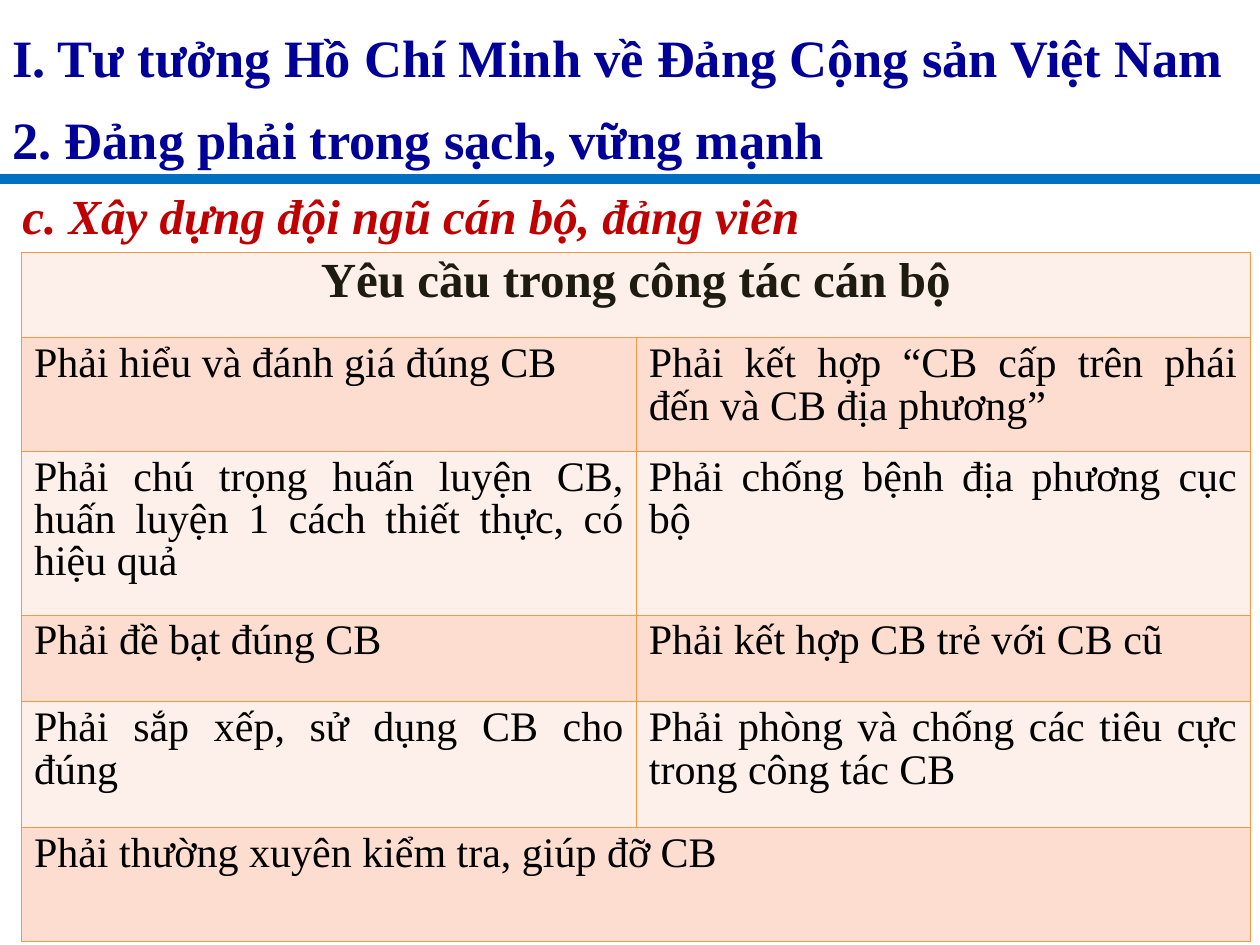
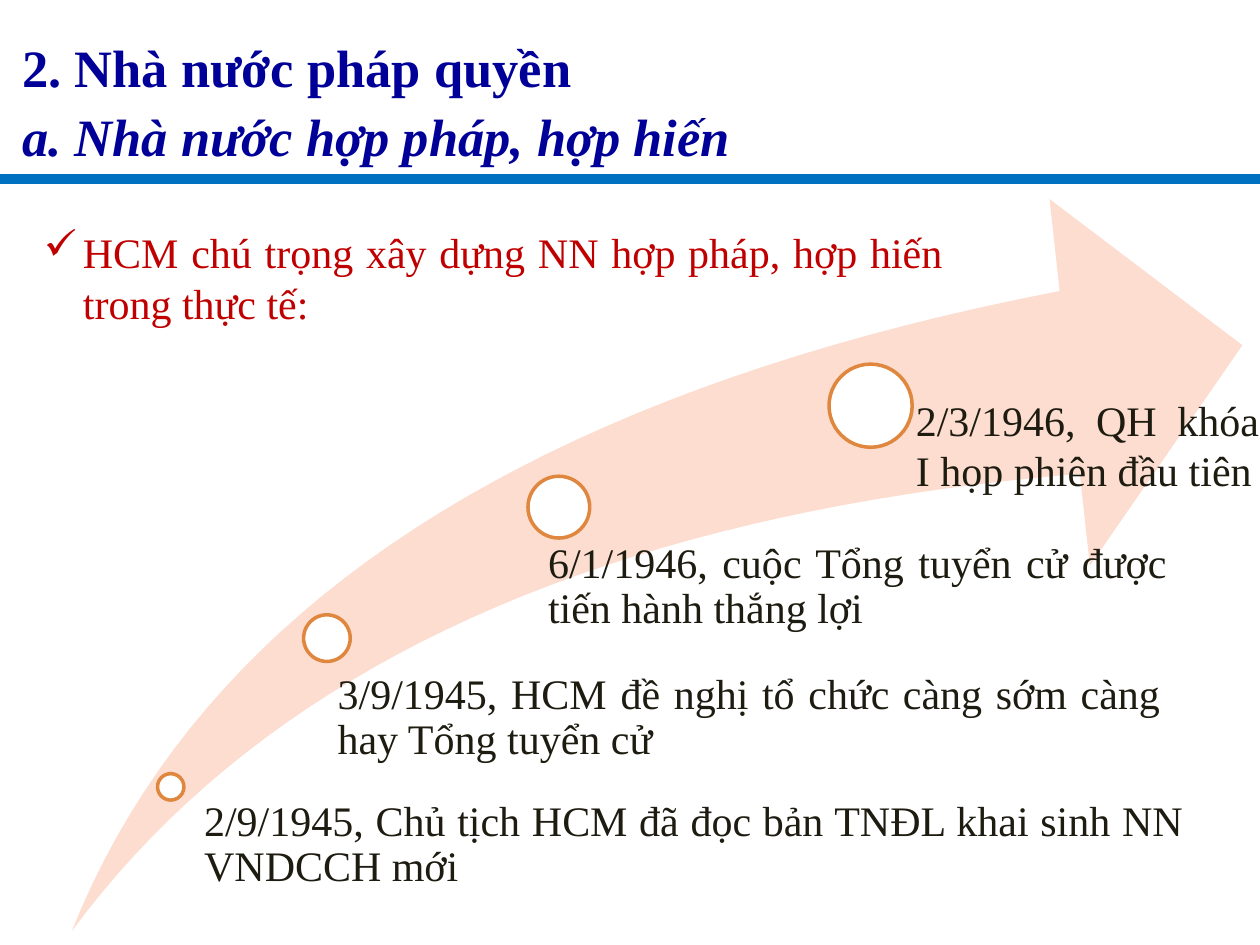
from lxml import etree
from pptx import Presentation
from pptx.dml.color import RGBColor
from pptx.enum.shapes import MSO_CONNECTOR, MSO_SHAPE
from pptx.enum.text import PP_ALIGN
from pptx.oxml.ns import qn
from pptx.util import Inches, Pt

NAVY = RGBColor(0x00, 0x00, 0x99)
BLUE = RGBColor(0x00, 0x70, 0xC0)
RED = RGBColor(0xC0, 0x00, 0x00)
INK = RGBColor(0x1E, 0x1C, 0x11)
BLACK = RGBColor(0x00, 0x00, 0x00)
WHITE = RGBColor(0xFF, 0xFF, 0xFF)
ORANGE = RGBColor(0xF7, 0x96, 0x46)
RING = RGBColor(0xE0, 0x87, 0x3F)
PEACH = RGBColor(0xFC, 0xDD, 0xCF)
PALE = RGBColor(0xFD, 0xEF, 0xE9)

FONT = "Times New Roman"
TITLE = dict(size=Pt(30), bold=True, color=NAVY)
SUBTITLE = dict(size=Pt(28), bold=True, italic=True, color=RED)
HEADER = dict(size=Pt(28), bold=True, color=INK)
CELL = dict(size=Pt(24), bold=False, color=BLACK)
LABEL = dict(size=Pt(24), color=INK)
POINT = dict(size=Pt(24), color=RED)
JUSTIFIED = dict(alignment=PP_ALIGN.JUSTIFY)
TABLE_SPACING = 0.91

REQUIREMENTS = [
    ("Yêu cầu trong công tác cán bộ",),
    ("Phải hiểu và đánh giá đúng CB",
     "Phải kết hợp “CB cấp trên phái đến và CB địa phương”"),
    ("Phải chú trọng huấn luyện CB, huấn luyện 1 cách thiết thực, có hiệu quả",
     "Phải chống bệnh địa phương cục bộ"),
    ("Phải đề bạt đúng CB", "Phải kết hợp CB trẻ với CB cũ"),
    ("Phải sắp xếp, sử dụng CB cho đúng",
     "Phải phòng và chống các tiêu cực trong công tác CB"),
    ("Phải thường xuyên kiểm tra, giúp đỡ CB",),
]
ROW_HEIGHTS = [0.68, 0.9, 1.3, 0.69, 1, 0.9]
COLUMN_WIDTHS = [4.88, 4.87]

# circle (left, top, diameter), label box, label left inset, text
MILESTONES = [
    ((1.25, 6.14, 0.21), (1.51, 6.35, 7.88, 0.95), 0.11,
     "2/9/1945, Chủ tịch HCM đã đọc bản TNĐL khai sinh NN VNDCCH mới"),
    ((2.41, 4.88, 0.37), (2.48, 5.34, 6.73, 1.18), 0.2,
     "3/9/1945, HCM đề nghị tổ chức càng sớm càng hay Tổng tuyển cử"),
    ((4.19, 3.78, 0.49), (4.09, 4.3, 5.17, 0.74), 0.26,
     "6/1/1946, cuộc Tổng tuyển cử được tiến hành thắng lợi"),
]
LAST_CIRCLE = (6.58, 2.89, 0.66)


def set_attributes(target, values):
    for name, value in values.items():
        setattr(target, name, value)


def write(p, text, style, layout):
    """Fill a paragraph with one run in the given font style and layout."""
    set_attributes(p, layout)
    r = p.add_run()
    r.text = text
    font = {k: v for k, v in style.items() if k != "color"}
    set_attributes(r.font, dict(font, name=FONT))
    r.font.color.rgb = style["color"]


def add_text(s, box, lines, layout, insets=(0.1, 0.05, 0.1, 0.05)):
    """Add a text box; lines holds (text, style) pairs."""
    tf = s.shapes.add_textbox(*map(Inches, box)).text_frame
    tf.word_wrap = True
    sides = ("margin_left", "margin_top", "margin_right", "margin_bottom")
    set_attributes(tf, dict(zip(sides, map(Inches, insets))))
    for i, (text, style) in enumerate(lines):
        p = tf.add_paragraph() if i else tf.paragraphs[0]
        write(p, text, style, layout)
    return tf


def add_check_bullet(p, indent):
    pPr = p._p.get_or_add_pPr()
    pPr.set("marL", str(Inches(indent)))
    pPr.set("indent", str(-Inches(indent)))
    color = etree.SubElement(pPr, qn("a:buClr"))
    etree.SubElement(color, qn("a:srgbClr"), val=str(RED))
    etree.SubElement(pPr, qn("a:buChar"), char="✓")


def add_ruled_slide(prs):
    """Add a blank slide with the blue rule under the title area."""
    s = prs.slides.add_slide(prs.slide_layouts[6])
    y = Inches(1.42)
    rule = s.shapes.add_connector(MSO_CONNECTOR.STRAIGHT, 0, y, prs.slide_width, y)
    rule.line.color.rgb = BLUE
    rule.line.width = Pt(6)
    etree.SubElement(rule._element.spPr, qn("a:effectLst"))
    return s


def border_cell(cell):
    tcPr = cell._tc.get_or_add_tcPr()
    for i, side in enumerate(("lnL", "lnR", "lnT", "lnB")):
        ln = etree.Element(qn(f"a:{side}"), w=str(Pt(0.45)))
        fill = etree.SubElement(ln, qn("a:solidFill"))
        etree.SubElement(fill, qn("a:srgbClr"), val=str(ORANGE))
        tcPr.insert(i, ln)


def add_requirements_table(s, left, top):
    frame = s.shapes.add_table(
        len(ROW_HEIGHTS), len(COLUMN_WIDTHS), Inches(left), Inches(top),
        Inches(sum(COLUMN_WIDTHS)), Inches(sum(ROW_HEIGHTS)))
    table = frame.table
    for column, width in zip(table.columns, COLUMN_WIDTHS):
        column.width = Inches(width)
    for i, (texts, height) in enumerate(zip(REQUIREMENTS, ROW_HEIGHTS)):
        row = table.rows[i]
        row.height = Inches(height)
        for cell in row.cells:
            cell.fill.solid()
            cell.fill.fore_color.rgb = PEACH if i % 2 else PALE
            border_cell(cell)
        if len(texts) == 1:
            row.cells[0].merge(row.cells[1])
        style, align = (CELL, PP_ALIGN.JUSTIFY) if i else (HEADER, PP_ALIGN.CENTER)
        layout = dict(alignment=align, line_spacing=TABLE_SPACING)
        for j, text in enumerate(texts):
            write(table.cell(i, j).text_frame.paragraphs[0], text, style, layout)


def curve(start, control1, control2, end, steps=40):
    """Points along a cubic Bezier curve, both ends included."""
    points = []
    for i in range(steps + 1):
        t = i / steps
        weights = ((1 - t) ** 3, 3 * t * (1 - t) ** 2, 3 * t * t * (1 - t), t ** 3)
        points.append(tuple(
            sum(w * v for w, v in zip(weights, axis))
            for axis in zip(start, control1, control2, end)))
    return points


def add_swoosh_arrow(s):
    tail = (0.57, 7.39)
    outline = curve(tail, (1.6, 4.81), (4.22, 3.12), (8.41, 2.31))
    outline += [(8.33, 1.58), (9.86, 2.74), (8.65, 4.49)]
    outline += curve((8.57, 3.76), (4.79, 4.08), (2.12, 5.29), tail)
    points = [(Inches(x), Inches(y)) for x, y in outline]
    builder = s.shapes.build_freeform(*points[0])
    builder.add_line_segments(points[1:], close=True)
    arrow = builder.convert_to_shape()
    arrow.shadow.inherit = False
    arrow.fill.solid()
    arrow.fill.fore_color.rgb = PEACH
    arrow.line.fill.background()


def add_circle(s, left, top, diameter):
    circle = s.shapes.add_shape(
        MSO_SHAPE.OVAL, *map(Inches, (left, top, diameter, diameter)))
    circle.shadow.inherit = False
    circle.fill.solid()
    circle.fill.fore_color.rgb = WHITE
    circle.line.color.rgb = RING
    circle.line.width = Pt(2)


def build_cadre_slide(prs):
    s = add_ruled_slide(prs)
    add_text(s, (0, 0, 9.83, 2.05),
             [("I. Tư tưởng Hồ Chí Minh về Đảng Cộng sản Việt Nam", TITLE),
              ("2. Đảng phải trong sạch, vững mạnh", TITLE)],
             dict(JUSTIFIED, line_spacing=1.3))
    add_text(s, (0.08, 1.42, 9.75, 0.57),
             [("c. Xây dựng đội ngũ cán bộ, đảng viên", SUBTITLE)], {})
    add_requirements_table(s, 0.17, 2)


def build_state_slide(prs):
    s = add_ruled_slide(prs)
    add_text(s, (0.08, 0.18, 9.83, 1.2),
             [("2. Nhà nước pháp quyền", TITLE),
              ("a. Nhà nước hợp pháp, hợp hiến", dict(TITLE, italic=True))],
             dict(JUSTIFIED, line_spacing=1.1))
    add_swoosh_arrow(s)
    label_layout = dict(JUSTIFIED, line_spacing=0.9, space_after=Pt(10.5))
    for circle, box, inset, text in MILESTONES:
        add_circle(s, *circle)
        add_text(s, box, [(text, LABEL)], label_layout, (inset, 0, 0, 0))
    add_circle(s, *LAST_CIRCLE)
    add_text(s, (7.17, 3.08, 2.92, 0.9),
             [("2/3/1946, QH khóa I họp phiên đầu tiên", LABEL)], JUSTIFIED)
    tf = add_text(s, (0.25, 1.75, 7.33, 0.9),
                  [("HCM chú trọng xây dựng NN hợp pháp, hợp hiến trong thực tế:", POINT)],
                  JUSTIFIED)
    add_check_bullet(tf.paragraphs[0], 0.31)


def main():
    prs = Presentation()
    prs.slide_width, prs.slide_height = Inches(10), Inches(7.5)
    build_cadre_slide(prs)
    build_state_slide(prs)
    prs.save("out.pptx")


if __name__ == "__main__":
    main()
